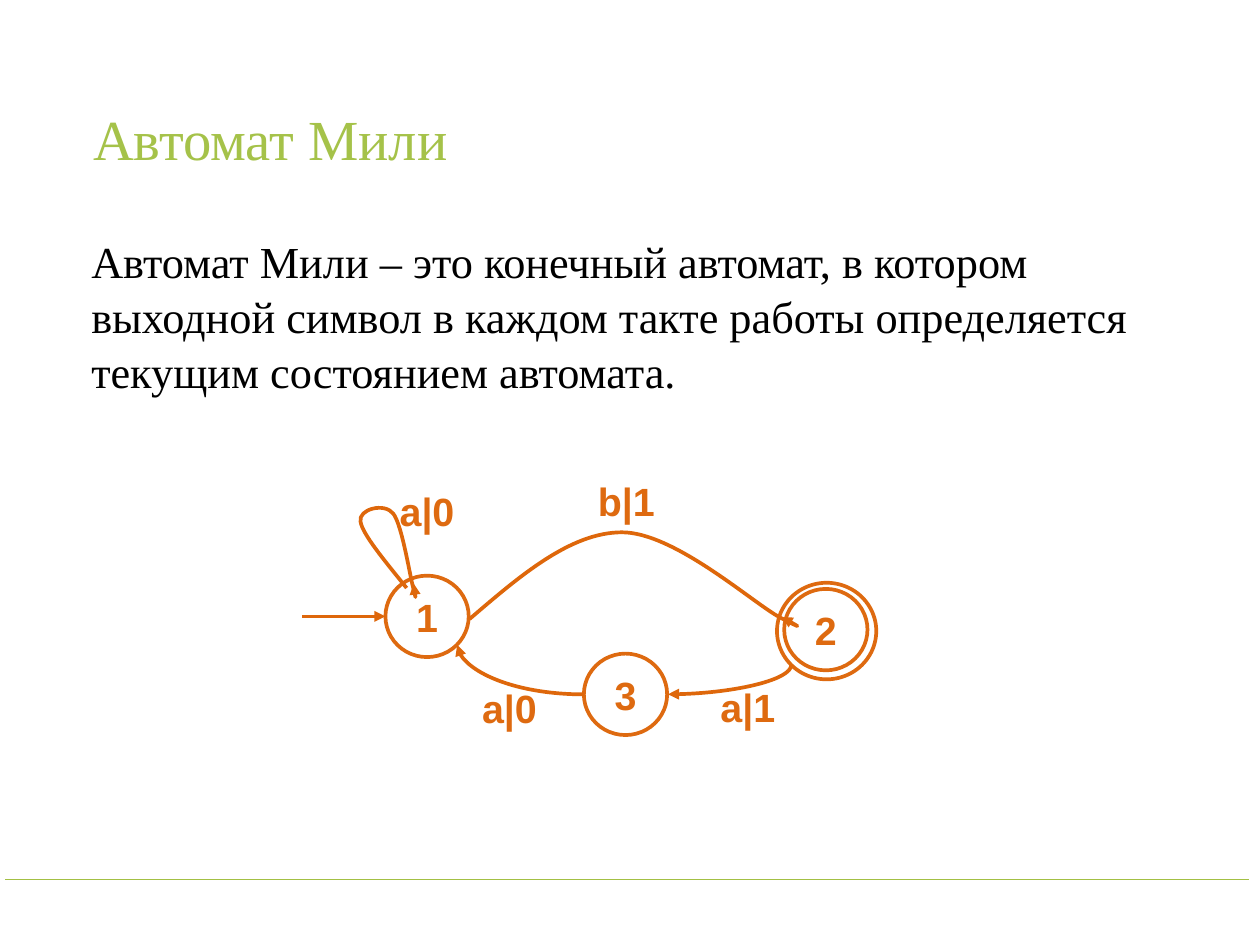
from lxml import etree
from pptx import Presentation
from pptx.dml.color import RGBColor
from pptx.enum.shapes import MSO_CONNECTOR, MSO_SHAPE
from pptx.enum.text import MSO_ANCHOR, MSO_AUTO_SIZE, PP_ALIGN
from pptx.oxml.ns import qn
from pptx.util import Inches, Pt

STRAIGHT, CURVE = MSO_CONNECTOR.STRAIGHT, MSO_CONNECTOR.CURVE
OVAL = MSO_SHAPE.OVAL
MIDDLE, TOP = MSO_ANCHOR.MIDDLE, MSO_ANCHOR.TOP
LEFT, CENTER = PP_ALIGN.LEFT, PP_ALIGN.CENTER
NO_AUTOFIT = MSO_AUTO_SIZE.NONE
COLORS = {"title": "A5C249", "rule": "A3C044", "body": "000000",
          "state": "DE6A10", "arrow": "DE670B", "paper": "FFFFFF"}

prs = Presentation()
prs.slide_width, prs.slide_height = Inches(14.22), Inches(10.67)
COL, ROW = prs.slide_width / 100, prs.slide_height / 100
slide = prs.slides.add_slide(prs.slide_layouts[1])
shapes = slide.shapes


def write(holder, words, size, font, color, anchor, align, inset, bold=False):
    frame = holder.text_frame
    frame.word_wrap = True
    frame.auto_size = NO_AUTOFIT
    frame.vertical_anchor = anchor
    frame.margin_left = frame.margin_right = Inches(inset)
    frame.margin_top = frame.margin_bottom = Inches(inset)
    paragraph = frame.paragraphs[0]
    paragraph.alignment = align
    run = paragraph.add_run()
    run.text = words
    run.font.size, run.font.name, run.font.bold = Pt(size), font, bold
    run.font.color.rgb = RGBColor.from_string(COLORS[color])
    return paragraph


def stroke(outline, color, width, arrow_end=None):
    outline.line.color.rgb = RGBColor.from_string(COLORS[color])
    outline.line.width = Pt(width)
    properties = outline.element.spPr
    if arrow_end:
        etree.SubElement(properties.find(qn("a:ln")), qn(arrow_end), type="triangle")
    etree.SubElement(properties, qn("a:effectLst"))


title, body = shapes.title, slide.placeholders[1]
for holder, (x, y, w, h) in ((title, (6.89, 5.34, 86.29, 19.31)),
                             (body, (6.75, 23.9, 88.12, 73.38))):
    holder.left, holder.top = round(x * COL), round(y * ROW)
    holder.width, holder.height = round(w * COL), round(h * ROW)

heading = write(title, "Автомат Мили", 46, "Times New Roman", "title", MIDDLE, LEFT, 0.07)
heading.line_spacing = 0.9
definition = write(
    body,
    "Автомат Мили – это конечный автомат, в котором выходной символ "
    "в каждом такте работы определяется текущим состоянием автомата.",
    36, "Times New Roman", "body", TOP, LEFT, 0.07)
definition.line_spacing = 1.04
definition.space_before = Pt(0)
bullet_settings = definition._p.get_or_add_pPr()
bullet_settings.set("marL", "0")
bullet_settings.set("indent", "0")
etree.SubElement(bullet_settings, qn("a:buNone"))

for x, y, w, h, number in ((61.67, 61.67, 7.88, 10.22, None),
                           (30.59, 60.92, 6.61, 8.62, "1"),
                           (62.24, 62.32, 6.61, 8.62, "2"),
                           (46.34, 69.17, 6.61, 8.62, "3")):
    state = shapes.add_shape(OVAL, round(x * COL), round(y * ROW), round(w * COL), round(h * ROW))
    state.fill.solid()
    state.fill.fore_color.rgb = RGBColor.from_string(COLORS["paper"])
    stroke(state, "state", 3)
    if number:
        write(state, number, 32, "Arial", "state", MIDDLE, CENTER, 0.06, True)

loop_on_1 = [(32.28, 62.23), (30.52, 59.33), (28.76, 56.51), (28.62, 55.2),
             (28.41, 53.89), (30.52, 53.14), (31.22, 54.36),
             (31.93, 55.58), (32.56, 61.2), (32.84, 62.42),
             (33.05, 63.64), (32.91, 62.7), (32.84, 61.76)]
arc_1_to_2 = [(37.27, 65.51), (41.28, 60.92), (45.29, 56.33), (49.37, 56.33),
              (53.52, 56.33), (59.77, 63.82), (61.88, 65.32),
              (63.92, 66.73), (63.01, 65.98), (62.03, 65.32)]
for knots in (loop_on_1, arc_1_to_2):
    start, *rest = [(round(x * COL), round(y * ROW)) for x, y in knots]
    builder = shapes.build_freeform(*start)
    builder.add_line_segments(rest, close=False)
    transition = builder.convert_to_shape()
    transition.fill.background()
    stroke(transition, "arrow", 3, "a:tailEnd")
    segments = list(transition.element.iter(qn("a:lnTo")))
    outline = segments[0].getparent()
    for first in range(0, len(segments), 3):
        bend = etree.SubElement(outline, qn("a:cubicBezTo"))
        for segment in segments[first:first + 3]:
            bend.append(segment[0])
            outline.remove(segment)

for kind, x1, y1, x2, y2, color, width, arrow_end in (
        (STRAIGHT, 0.42, 93.06, 99.16, 93.06, "rule", 1, None),
        (STRAIGHT, 23.98, 65.23, 30.59, 65.23, "arrow", 3, "a:tailEnd"),
        (CURVE, 53.02, 73.48, 62.8, 70.38, "arrow", 3, "a:headEnd"),
        (CURVE, 46.34, 73.48, 36.29, 68.23, "arrow", 3, "a:tailEnd")):
    link = shapes.add_connector(kind, round(x1 * COL), round(y1 * ROW),
                                round(x2 * COL), round(y2 * ROW))
    stroke(link, color, width, arrow_end)
    if kind == CURVE:
        link.element.spPr.find(qn("a:prstGeom")).set("prst", "curvedConnector2")

for x, y, symbols in ((30.24, 50.98, "a|0"), (46.06, 49.95, "b|1"),
                      (55.7, 71.79, "a|1"), (36.78, 71.88, "a|0")):
    label = shapes.add_textbox(round(x * COL), round(y * ROW), round(7.31 * COL), round(6.09 * ROW))
    write(label, symbols, 32, "Arial", "state", MIDDLE, CENTER, 0.06, True)

prs.save("out.pptx")
